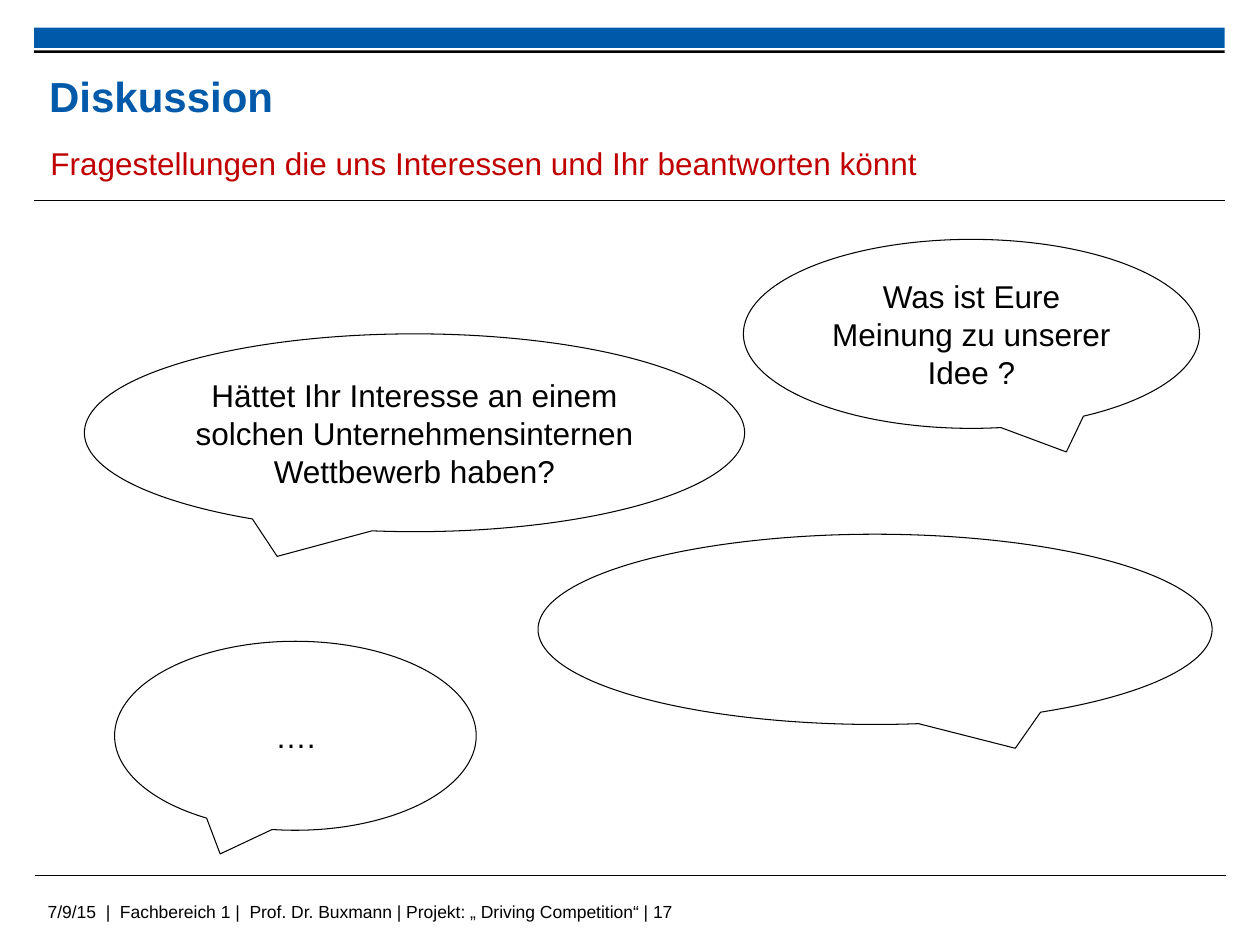
from dataclasses import dataclass

import pptx
import pptx.dml.color
import pptx.enum.shapes
import pptx.enum.text
import pptx.oxml
import pptx.oxml.ns
import pptx.util

COLUMNS, ROWS = 100, 75  # grid of square cells over the 10 x 7.5 inch slide
CELL = pptx.util.Inches(0.1)
COLORS = {"blue": "005AA9", "red": "C00000", "black": "000000"}
LINE_WIDTH = pptx.util.Pt(0.6)
SHAPES = pptx.enum.shapes.MSO_SHAPE
ALIGN = pptx.enum.text.PP_ALIGN
ANCHOR = pptx.enum.text.MSO_ANCHOR
PADDING = (1, 0.5)


@dataclass
class Box:
    """A rectangle in grid columns and rows."""
    column: float
    row: float
    columns: float
    rows: float

    def lengths(self) -> tuple:
        return tuple(cells(n) for n in (self.column, self.row, self.columns, self.rows))


@dataclass
class Bar:
    box: Box
    color: str


@dataclass
class Rule:
    column: float
    row: float


@dataclass
class Label:
    box: Box
    text: str
    size: float
    color: str = "black"
    bold: bool = False
    padding: tuple = (0, 0)
    anchor: ANCHOR = ANCHOR.MIDDLE


@dataclass
class Bubble:
    box: Box
    tail: float  # sideways offset of the tip, as a share of the width
    text: str = ""


RULE_COLUMNS = 94.5
BARS = [
    Bar(Box(2.7, 2.2, RULE_COLUMNS, 1.6), "blue"),
    Bar(Box(2.7, 4, RULE_COLUMNS, 0.2), "black"),
]
RULES = [Rule(2.7, 15.9), Rule(2.8, 69.5)]
LABELS = [
    Label(Box(2.8, 71, 78.7, 2.5),
          "7/9/15  |  Fachbereich 1 |  Prof. Dr. Buxmann | Projekt: „ Driving Competition“ | 17",
          10, padding=PADDING, anchor=ANCHOR.TOP),
    Label(Box(3.9, 5.3, 72.6, 4.6), "Diskussion", 24, "blue", bold=True),
    Label(Box(4, 11.1, 87, 3.6),
          "Fragestellungen die uns Interessen und Ihr beantworten könnt", 18, "red"),
]
TAIL, TAIL_DROP = 0.208, 0.625
BUBBLES = [
    Bubble(Box(59, 19, 36.2, 15), TAIL, "Was ist Eure Meinung zu unserer Idee ?"),
    Bubble(Box(6.7, 26.5, 52.4, 15.7), -TAIL,
           "Hättet Ihr Interesse an einem solchen Unternehmensinternen Wettbewerb haben?"),
    Bubble(Box(9.1, 50.9, 28.7, 15), -TAIL, "…."),
    Bubble(Box(42.7, 42.4, 53.5, 15.1), TAIL),
]


def cells(count: float) -> int:
    return round(count * CELL)


def rgb(name: str) -> pptx.dml.color.RGBColor:
    return pptx.dml.color.RGBColor.from_string(COLORS[name])


def set_attributes(target, values: dict) -> None:
    for name, value in values.items():
        setattr(target, name, value)


def write_text(shape, text: str, size: float, color: str = "black", bold: bool = False,
               padding: tuple = PADDING, anchor=ANCHOR.MIDDLE, align=ALIGN.LEFT) -> None:
    across, down = (cells(n) for n in padding)
    set_attributes(shape.text_frame, {
        "word_wrap": True, "vertical_anchor": anchor,
        "margin_left": across, "margin_right": across,
        "margin_top": down, "margin_bottom": down,
    })
    paragraph = shape.text_frame.paragraphs[0]
    paragraph.alignment = align
    run = paragraph.add_run()
    run.text = text
    set_attributes(run.font, {"name": "Arial", "size": pptx.util.Pt(size), "bold": bold})
    run.font.color.rgb = rgb(color)


def draw_bar(slide, bar: Bar) -> None:
    shape = slide.shapes.add_shape(SHAPES.RECTANGLE, *bar.box.lengths())
    shape.shadow.inherit = False
    shape.fill.solid()
    shape.fill.fore_color.rgb = rgb(bar.color)
    shape.line.fill.background()


def draw_rule(slide, rule: Rule) -> None:
    left, top, right = (cells(n) for n in (rule.column, rule.row, rule.column + RULE_COLUMNS))
    connector = slide.shapes.add_connector(
        pptx.enum.shapes.MSO_CONNECTOR.STRAIGHT, left, top, right, top)
    connector.line.color.rgb = rgb("black")
    connector.line.width = LINE_WIDTH
    properties = connector.element.find(pptx.oxml.ns.qn("p:spPr"))
    properties.append(pptx.oxml.parse_xml(
        f"<a:effectLst {pptx.oxml.ns.nsdecls('a')}/>"))


def draw_label(slide, label: Label) -> None:
    shape = slide.shapes.add_textbox(*label.box.lengths())
    write_text(shape, label.text, label.size, label.color, label.bold,
               label.padding, label.anchor)


def draw_bubble(slide, bubble: Bubble) -> None:
    shape = slide.shapes.add_shape(SHAPES.OVAL_CALLOUT, *bubble.box.lengths())
    shape.shadow.inherit = False
    shape.adjustments[0] = bubble.tail
    shape.adjustments[1] = TAIL_DROP
    shape.fill.background()
    shape.line.color.rgb = rgb("black")
    shape.line.width = LINE_WIDTH
    if bubble.text:
        write_text(shape, bubble.text, 18, align=ALIGN.CENTER)


def main() -> None:
    presentation = pptx.Presentation()
    set_attributes(presentation, {"slide_width": cells(COLUMNS), "slide_height": cells(ROWS)})
    slide = presentation.slides.add_slide(presentation.slide_layouts[6])
    for draw, items in ((draw_bar, BARS), (draw_rule, RULES),
                        (draw_label, LABELS), (draw_bubble, BUBBLES)):
        for item in items:
            draw(slide, item)
    presentation.save("out.pptx")


if __name__ == "__main__":
    main()
